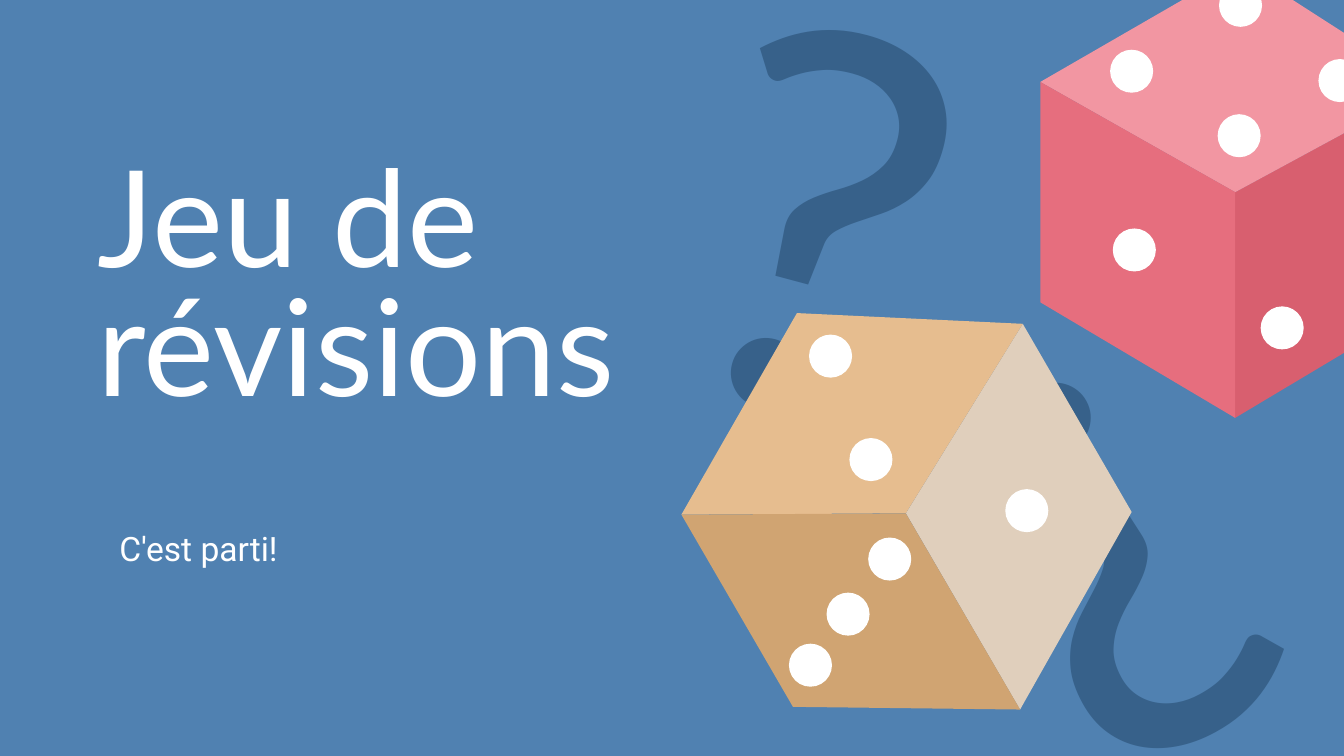
import pptx
import pptx.dml.color
import pptx.enum.shapes
import pptx.enum.text
import pptx.util

Inches = pptx.util.Inches
Anchor = pptx.enum.text.MSO_ANCHOR
RGB = pptx.dml.color.RGBColor.from_string

theme = {
    "back": RGB("5081B1"), "mark": RGB("37618A"), "white": RGB("FFFFFF"),
    "pink": [RGB("D85F6F"), RGB("F296A2"), RGB("E66E7E")],
    "tan": [RGB("E0CFBC"), RGB("E6BD8F"), RGB("D0A472")],
    "head": "Lato", "body": "Roboto",
    "huge": 300, "title": 72, "sub": 18, "edge": 0.75,
}
pip = 0.31  # pip diameter in inches

deck = pptx.Presentation()
deck.slide_width = Inches(10)
deck.slide_height = deck.slide_width * 9 // 16
slide = deck.slides.add_slide(deck.slide_layouts[6])
slide.background.fill.solid()
slide.background.fill.fore_color.rgb = theme["back"]


def add_text(text, box, size, font, color, anchor, gap=0.8, turn=0):
    shape = slide.shapes.add_textbox(*map(Inches, box))
    shape.rotation = turn
    frame = shape.text_frame
    frame.word_wrap = True
    frame.vertical_anchor = anchor
    frame.margin_left = frame.margin_right = Inches(0.1)
    frame.margin_top = frame.margin_bottom = Inches(0.1)
    frame.text = text
    para = frame.paragraphs[0]
    para.line_spacing = gap
    run = para.runs[0]
    run.font.size = pptx.util.Pt(theme[size])
    run.font.name = theme[font]
    run.font.color.rgb = theme[color]


def paint(shape, color):
    shape.shadow.inherit = False
    shape.fill.solid()
    shape.fill.fore_color.rgb = color


# Question marks behind the dice
for left, top, turn in [(7.03, 1.32, 331.4), (4.11, -0.2, 195)]:
    add_text("¿", (left, top, 2.89, 4.47), "huge", "head", "mark",
             Anchor.MIDDLE, turn=turn)

add_text("Jeu de révisions", (0.63, 0.33, 4.21, 2.91), "title", "head",
         "white", Anchor.BOTTOM)
add_text("C'est parti!", (0.79, 3.83, 3.16, 0.82), "sub", "body",
         "white", Anchor.TOP, gap=1)

# Each die: colours, corner shared by its faces, outer rim, pip centres.
# A face spans the shared corner and three neighbouring rim points.
dice = [
    ("pink", (9.19, 1.43),
     [(9.19, 3.11), (10.63, 2.25), (10.63, 0.65),
      (9.23, -0.25), (7.74, 0.61), (7.74, 2.25)],
     [(9.54, 2.44), (8.44, 1.86), (9.97, 0.6),
      (9.23, 0.04), (9.22, 1.01), (8.42, 0.53)]),
    ("tan", (6.74, 3.82),
     [(7.59, 5.28), (8.42, 3.81), (7.61, 2.41),
      (5.93, 2.33), (5.07, 3.83), (5.9, 5.26)],
     [(7.64, 3.8), (6.03, 4.95), (6.31, 4.57),
      (6.62, 4.16), (6.18, 2.65), (6.48, 3.42)]),
]
for name, core, rim, pips in dice:
    die = slide.shapes.add_group_shape()
    for i, color in enumerate(theme[name]):
        points = [(Inches(x), Inches(y)) for x, y in
                  [core] + [rim[(2 * i + k) % 6] for k in range(3)]]
        path = die.shapes.build_freeform(*points[0])
        path.add_line_segments(points[1:], close=True)
        face = path.convert_to_shape()
        paint(face, color)
        face.line.fill.background()
    for x, y in pips:
        dot = die.shapes.add_shape(
            pptx.enum.shapes.MSO_SHAPE.OVAL, Inches(x - pip / 2),
            Inches(y - pip / 2), Inches(pip), Inches(pip))
        paint(dot, theme["white"])
        dot.line.color.rgb = theme["white"]
        dot.line.width = pptx.util.Pt(theme["edge"])

deck.save("out.pptx")
